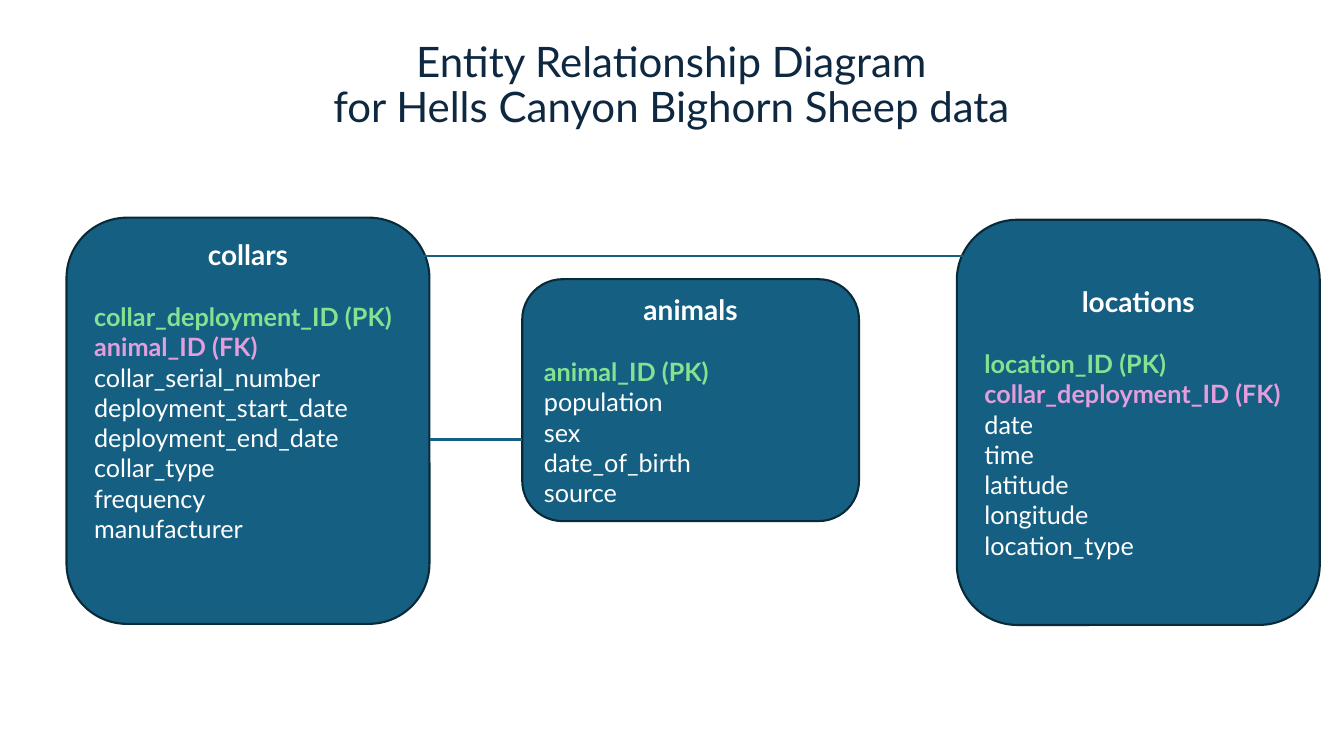
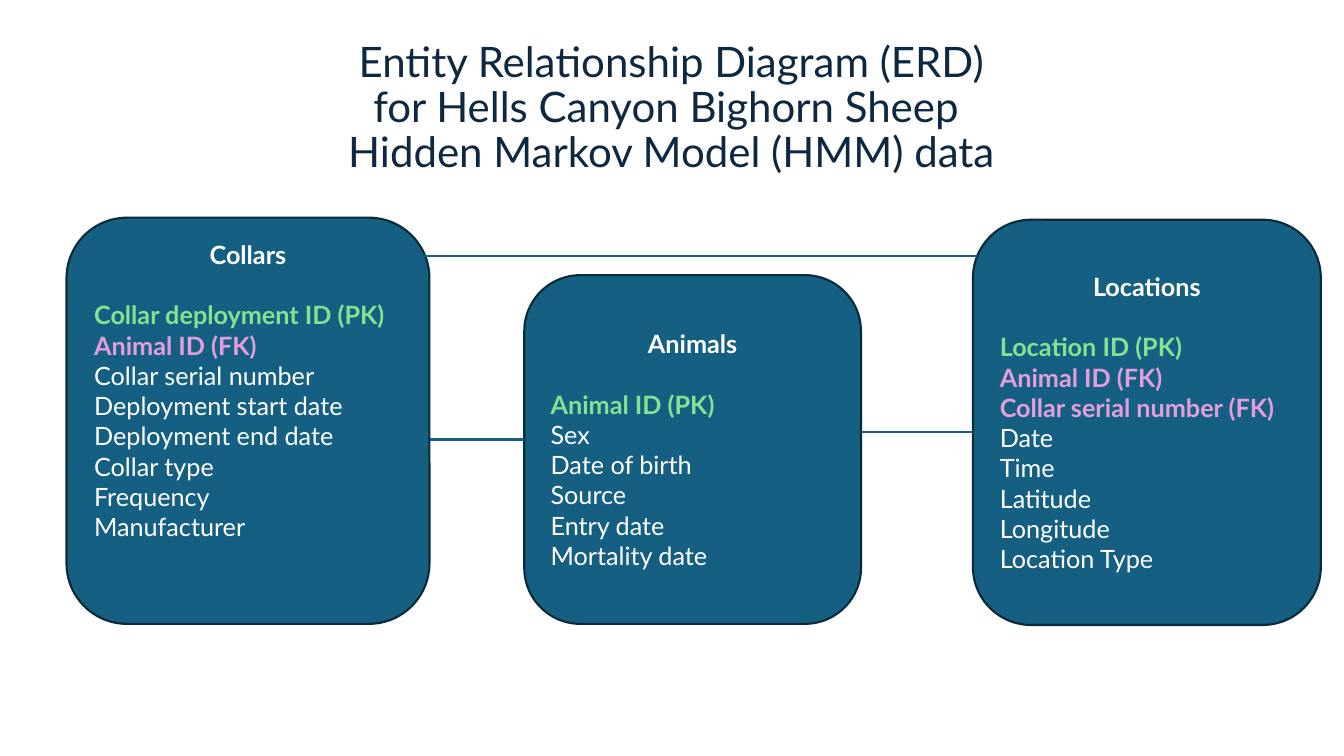
"""Build two entity relationship diagram slides for bighorn sheep data."""
import pptx
import pptx.dml.color
import pptx.enum.shapes
import pptx.enum.text
import pptx.oxml
import pptx.oxml.ns
import pptx.util

Inches = pptx.util.Inches
Pt = pptx.util.Pt
ALIGN = pptx.enum.text.PP_ALIGN
FONT = "Lato"
COLORS = {"title": "0E2841", "box": "156082", "edge": "092A39",
          "text": "FFFFFF", "PK": "84E291", "FK": "E59EDD"}
BODY_SIZE = 18
BLANK_LINE = 21.6
COLLARS_BOX = (0.66, 2.16, 3.6, 4.03)

SLIDES = [
    {"title": ["Entity Relationship Diagram", "for Hells Canyon Bighorn Sheep data"],
     "title_top": 0.18, "head_size": 20,
     "entities": [
         ("collars", COLLARS_BOX, 0.65,
          ["collar_deployment_ID (PK)", "animal_ID (FK)", "collar_serial_number",
           "deployment_start_date", "deployment_end_date", "collar_type",
           "frequency", "manufacturer"]),
         ("animals", (5.18, 2.77, 3.34, 2.4), 0.05,
          ["animal_ID (PK)", "population", "sex", "date_of_birth", "source"]),
         ("locations", (9.49, 2.18, 3.6, 4.02), 0.05,
          ["location_ID (PK)", "collar_deployment_ID (FK)", "date", "time",
           "latitude", "longitude", "location_type"])],
     "links": [(4.26, 4.36, 5.18), (4.2, 2.54, 9.55)]},
    {"title": ["Entity Relationship Diagram (ERD)", "for Hells Canyon Bighorn Sheep ",
               "Hidden Markov Model (HMM) data"],
     "title_top": 0.4, "head_size": 18,
     "entities": [
         ("Collars", COLLARS_BOX, 0.65,
          ["Collar deployment ID (PK)", "Animal ID (FK)", "Collar serial number",
           "Deployment start date", "Deployment end date", "Collar type",
           "Frequency", "Manufacturer"]),
         ("Animals", (5.2, 2.73, 3.34, 3.46), 0.05,
          ["Animal ID (PK)", "Sex", "Date of birth", "Source", "Entry date",
           "Mortality date"]),
         ("Locations", (9.65, 2.18, 3.45, 4.02), 0.05,
          ["Location ID (PK)", "Animal ID (FK)", "Collar serial number (FK)",
           "Date", "Time", "Latitude", "Longitude", "Location Type"])],
     "links": [(4.26, 4.36, 5.2), (8.54, 4.29, 9.65), (4.2, 2.54, 9.69)]},
]


def rgb(name):
    """Return a named palette colour."""
    return pptx.dml.color.RGBColor.from_string(COLORS[name])


def add_run(p, text, size, color, bold=False):
    """Append one formatted run to a paragraph."""
    r = p.add_run()
    r.text = text
    r.font.name = FONT
    r.font.size = Pt(size)
    r.font.bold = bold
    r.font.color.rgb = rgb(color)


prs = pptx.Presentation()
prs.slide_width = Inches(13.33)
prs.slide_height = Inches(7.5)

for data in SLIDES:
    s = prs.slides.add_slide(prs.slide_layouts[5])

    title = s.shapes.title
    title.left, title.top = Inches(0.91), Inches(data["title_top"])
    title.width, title.height = Inches(11.5), Inches(1.36)
    tf = title.text_frame
    tf.auto_size = pptx.enum.text.MSO_AUTO_SIZE.NONE
    tf.vertical_anchor = pptx.enum.text.MSO_ANCHOR.MIDDLE
    p = tf.paragraphs[0]
    p.alignment = ALIGN.CENTER
    p.line_spacing = 0.9
    for i, line in enumerate(data["title"]):
        if i:
            p.add_line_break()
        add_run(p, line, 30, "title")

    for name, box, bottom, fields in data["entities"]:
        sp = s.shapes.add_shape(pptx.enum.shapes.MSO_SHAPE.ROUNDED_RECTANGLE,
                                *[Inches(v) for v in box])
        sp.shadow.inherit = False
        sp.fill.solid()
        sp.fill.fore_color.rgb = rgb("box")
        sp.line.color.rgb = rgb("edge")
        sp.line.width = Pt(1.5)
        tf = sp.text_frame
        tf.word_wrap = True
        tf.vertical_anchor = pptx.enum.text.MSO_ANCHOR.MIDDLE
        tf.margin_bottom = Inches(bottom)
        p = tf.paragraphs[0]
        p.alignment = ALIGN.CENTER
        p.space_after = Pt(BLANK_LINE)
        add_run(p, name, data["head_size"], "text", True)
        for field in fields:
            key = next((k for k in ("PK", "FK") if f"({k})" in field), None)
            p = tf.add_paragraph()
            p.alignment = ALIGN.LEFT
            add_run(p, field, BODY_SIZE, key or "text", key is not None)

    for x1, y, x2 in data["links"]:
        link = s.shapes.add_connector(pptx.enum.shapes.MSO_CONNECTOR.STRAIGHT,
                                      Inches(x1), Inches(y), Inches(x2), Inches(y))
        link.line.color.rgb = rgb("box")
        link.line.width = Pt(1.5)
        sp_pr = link._element.find(pptx.oxml.ns.qn("p:spPr"))
        sp_pr.append(pptx.oxml.parse_xml(
            f"<a:effectLst {pptx.oxml.ns.nsdecls('a')}/>"))

prs.save("out.pptx")
